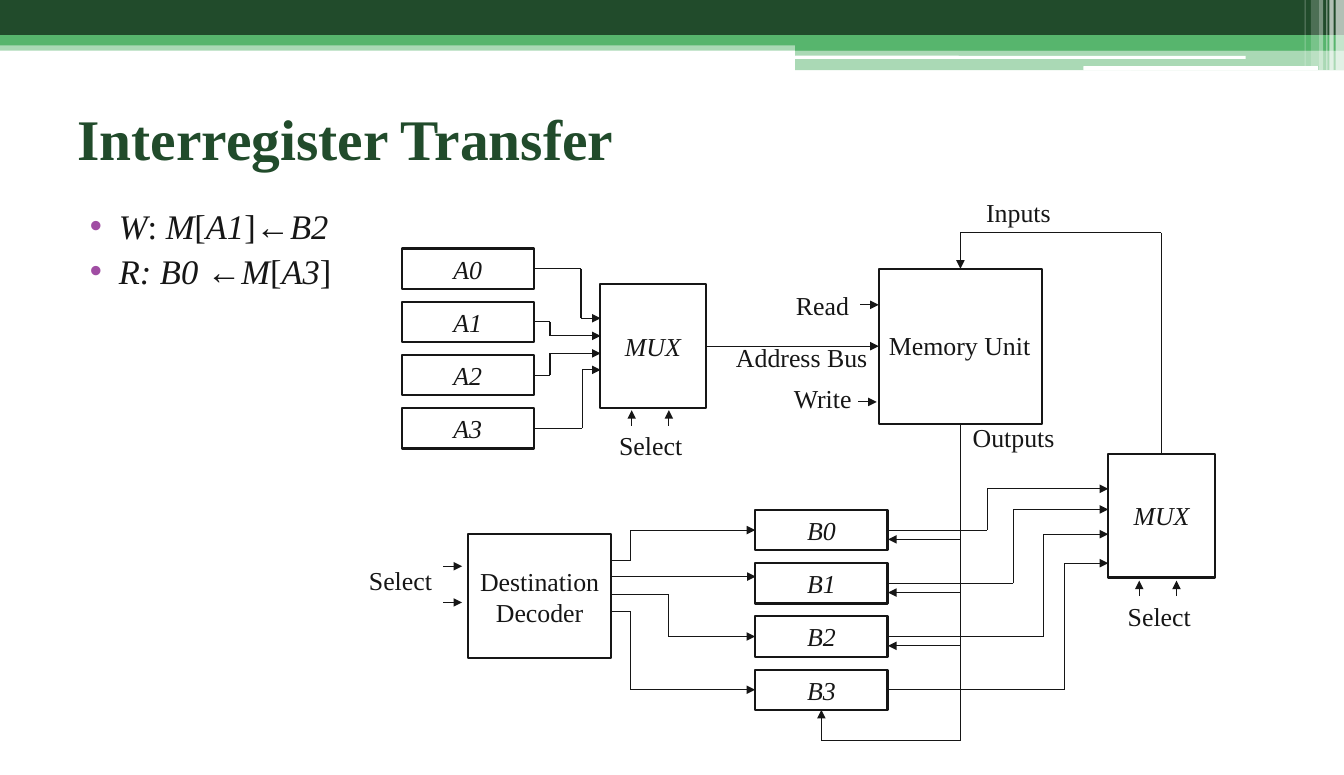
import pptx
import pptx.util
import pptx.dml.color
import pptx.enum.shapes
import pptx.enum.text
import pptx.oxml.ns
import lxml.etree

prs = pptx.Presentation()
prs.slide_width = pptx.util.Inches(13)
prs.slide_height = pptx.util.Inches(7.5)
col = prs.slide_width / 130
row = prs.slide_height / 75
qn = pptx.oxml.ns.qn
shapes = pptx.enum.shapes.MSO_SHAPE
anchors = pptx.enum.text.MSO_ANCHOR
align = pptx.enum.text.PP_ALIGN
ink, dark, green, white = "161616", "214B2B", "57B56D", "FFFFFF"


def paint(fill, colour):
    fill.solid()
    fill.fore_color.rgb = pptx.dml.color.RGBColor.from_string(colour)


def style(r, size, colour, italic=False, bold=False):
    r.font.name = "Times New Roman"
    r.font.size = pptx.util.Pt(size)
    r.font.italic = italic
    r.font.bold = bold
    paint(r.font.fill, colour)


slide = prs.slides.add_slide(prs.slide_layouts[1])

bands = [
    (0, 4, 130, 0.9, green, 50), (0, 0, 130, 3.4, dark, 100),
    (0, 3.4, 130, 1, green, 100), (76.9, 3.9, 53.1, 1, green, 100),
    (76.9, 4.8, 53.1, 2, green, 50), (76.9, 5.4, 43.6, 0.3, white, 100),
    (104.8, 6.4, 22.7, 0.4, white, 100), (129.2, 0, 0.8, 6.8, white, 65),
    (128.6, 0, 0.4, 6.8, white, 65), (128.3, 0, 0.1, 6.8, white, 60),
    (127.6, 0, 0.4, 6.8, white, 40), (126.8, 0, 0.8, 6.4, white, 20),
    (126.2, 0, 0.1, 6.4, white, 30),
]
for x, y, w, h, colour, opacity in bands:
    kind = shapes.ROUNDED_RECTANGLE if colour == white and w > 1 else shapes.RECTANGLE
    s = slide.shapes.add_shape(kind, int(x * col), int(y * row), int(w * col), int(h * row))
    s.shadow.inherit = False
    s.line.fill.background()
    paint(s.fill, colour)
    if opacity < 100:
        clr = s._element.spPr.find(qn("a:solidFill"))[0]
        lxml.etree.SubElement(clr, qn("a:alpha"), val=str(opacity * 1000))

title = slide.shapes.title
body = slide.placeholders[1]
for s, y, h in [(title, 7.5, 11.7), (body, 19.3, 47.3)]:
    s.left, s.top, s.width, s.height = int(6.5 * col), int(y * row), int(117 * col), int(h * row)
title.text_frame.text = "Interregister Transfer"
title.text_frame.vertical_anchor = anchors.MIDDLE
title.text_frame.paragraphs[0].alignment = align.LEFT
style(title.text_frame.paragraphs[0].runs[0], 40, dark, bold=True)

transfers = [
    [("W", True), (": ", False), ("M", True), ("[", False), ("A1", True), ("]←", False), ("B2", True)],
    [("R: B0 ←M", True), ("[", False), ("A3", True), ("]", False)],
]
tf = body.text_frame
for i, runs in enumerate(transfers):
    p = tf.add_paragraph() if i else tf.paragraphs[0]
    p.space_before = pptx.util.Pt(3)
    for text, italic in runs:
        r = p.add_run()
        r.text = text
        style(r, 24, ink, italic)
    pPr = p._p.get_or_add_pPr()
    pPr.set("marL", str(pptx.util.Inches(0.4)))
    pPr.set("indent", str(pptx.util.Inches(-0.28)))
    buClr = lxml.etree.SubElement(pPr, qn("a:buClr"))
    lxml.etree.SubElement(buClr, qn("a:srgbClr"), val="A04DA3")
    lxml.etree.SubElement(pPr, qn("a:buChar"), char="•")

a_rows = [26 + 5.15 * i for i in range(4)]
b_rows = [51.3 + 5.15 * i for i in range(4)]
boxes = [
    ("memory", "", 85, 26, 15.8, 15),
    ("address mux", "MUX", 58, 27.5, 10.3, 12),
    ("data mux", "MUX", 107.2, 43.9, 10.3, 12),
    ("decoder", "Destination Decoder", 45.3, 51.7, 13.8, 12),
]
for i in range(4):
    boxes.append((f"A{i}", f"A{i}", 38.85, a_rows[i] - 1.95, 12.8, 3.9))
    boxes.append((f"B{i}", f"B{i}", 73.05, b_rows[i] - 1.95, 12.8, 3.9))
box = {}
for name, text, x, y, w, h in boxes:
    s = slide.shapes.add_shape(shapes.RECTANGLE, int(x * col), int(y * row), int(w * col), int(h * row))
    s.shadow.inherit = False
    s.fill.background()
    s.line.width = pptx.util.Pt(1.5)
    paint(s.line.fill, ink)
    box[name] = s
    if text:
        s.text_frame.text = text
        s.text_frame.vertical_anchor = anchors.MIDDLE
        p = s.text_frame.paragraphs[0]
        p.alignment = align.CENTER
        style(p.runs[0], 18, ink, italic=name != "decoder")

labels = [
    ("Memory Unit", 85, 31.4, 15.8), ("Read", 76, 27.5, 7.2), ("Write", 75.8, 36.5, 7.7),
    ("Address Bus", 70.2, 32.6, 14.9), ("Select", 58.9, 41.1, 8.2), ("Select", 108.1, 57.6, 8.2),
    ("Select", 34.7, 54.2, 8.2), ("Inputs", 94.4, 18.5, 8.3), ("Outputs", 93.1, 40.3, 10),
]
for text, x, y, w in labels:
    s = slide.shapes.add_textbox(int(x * col), int(y * row), int(w * col), int(4 * row))
    s.text_frame.word_wrap = False
    s.text_frame.text = text
    style(s.text_frame.paragraphs[0].runs[0], 18, ink)

bus = 92.9
routes = [
    ([(68.3, 33.5), (85, 33.5)], True, ("address mux", 3), ("memory", 1)),
    ([(bus, 41), (bus, 71.7), (79.45, 71.7), (79.45, 68.7)], True, ("memory", 2), ("B3", 2)),
    ([(112.35, 43.9), (112.35, 22.5), (bus, 22.5), (bus, 26)], True, ("data mux", 0), ("memory", 0)),
    ([(59.2, 55.8), (73.1, 55.8)], True, None, None),
]
for x, y in [(83.2, 29.5), (83, 38.9), (42.9, 54.8), (42.9, 58.3)]:
    routes.append(([(x, y), (x + 1.8, y)], True, None, None))
for x, y in [(61.1, 41.2), (64.7, 41.2), (110.2, 57.7), (113.8, 57.7)]:
    routes.append(([(x, y), (x, y - 1.5)], True, None, None))
for i, x, y in [(0, 61, 54.2), (2, 64.7, 57.5), (3, 61, 59.2)]:
    routes.append(([(59.1, y), (x, y), (x, b_rows[i]), (73.05, b_rows[i])], True, None, (f"B{i}", 1)))
for i, (x, y) in enumerate([(56.2, 30.8), (53.2, 32.5), (53.2, 34.2), (56.3, 35.8)]):
    routes.append(([(51.65, a_rows[i]), (x, a_rows[i]), (x, y), (58.1, y)], True, (f"A{i}", 3), None))
for i, (x, y) in enumerate([(95.5, 47.3), (98, 49.3), (100.9, 51.7), (103, 54.5)]):
    routes.append(([(85.85, b_rows[i]), (x, b_rows[i]), (x, y), (107.2, y)], True, (f"B{i}", 3), None))
for y in b_rows[:3]:
    routes.append(([(bus, y + 0.9), (85.9, y + 0.9)], True, None, None))

for points, arrow, start, end in routes:
    last = len(points) - 2
    for i, ((x1, y1), (x2, y2)) in enumerate(zip(points, points[1:])):
        s = slide.shapes.add_connector(
            pptx.enum.shapes.MSO_CONNECTOR.STRAIGHT,
            int(x1 * col), int(y1 * row), int(x2 * col), int(y2 * row))
        if start and i == 0:
            s.begin_connect(box[start[0]], start[1])
        if end and i == last:
            s.end_connect(box[end[0]], end[1])
        s.line.width = pptx.util.Pt(0.75)
        paint(s.line.fill, ink)
        if arrow and i == last:
            lxml.etree.SubElement(s.line._get_or_add_ln(), qn("a:tailEnd"), type="triangle")
        lxml.etree.SubElement(s._element.spPr, qn("a:effectLst"))

prs.save("out.pptx")
